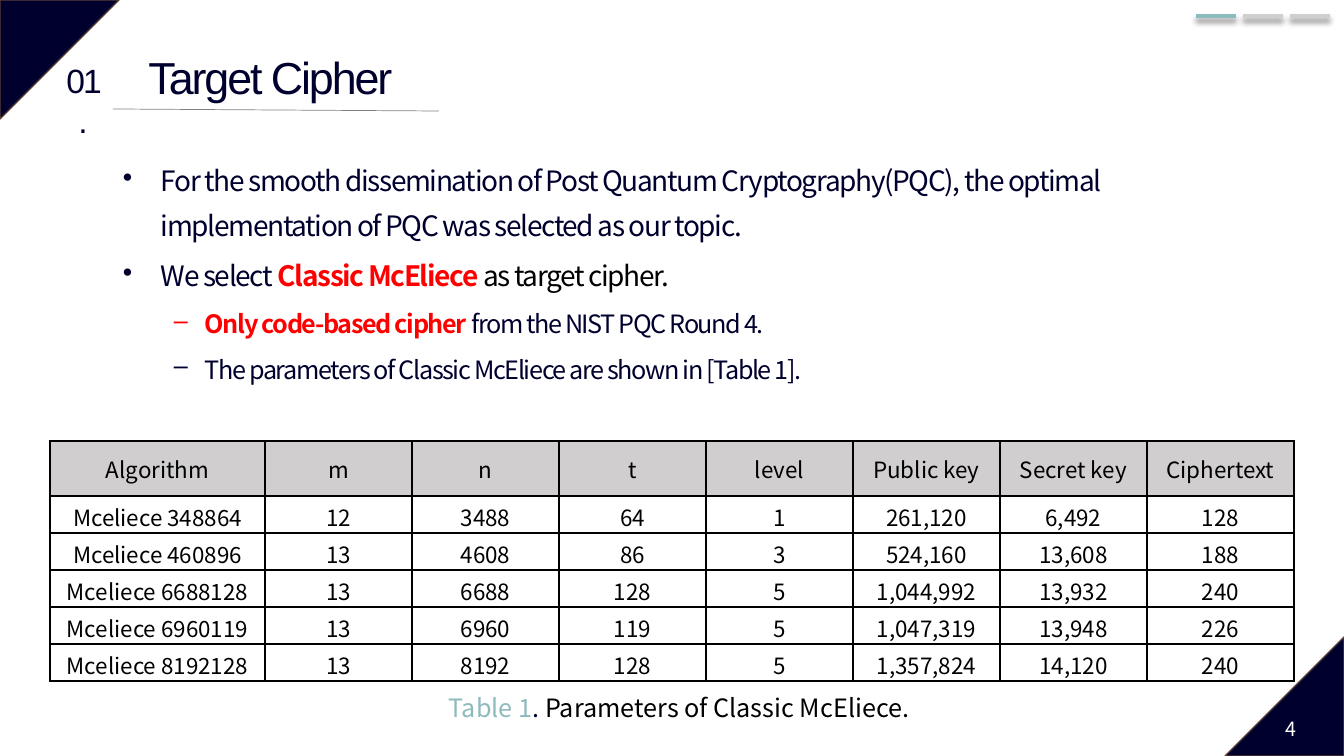
"""Build the Target Cipher slide with its parameter table."""
import lxml.etree
import pptx
import pptx.dml.color
import pptx.enum.shapes
import pptx.enum.text
import pptx.oxml
import pptx.oxml.ns
import pptx.util
from dataclasses import dataclass

TITLE = "Target Cipher"
SECTION = "01."
PAGE = "4"
POINTS = [
    (0, [("For the smooth dissemination of Post Quantum Cryptography(PQC), the optimal "
          "implementation of PQC was selected as our topic.", "navy", False)]),
    (0, [("We select ", "navy", False), ("Classic McEliece ", "red", True),
         ("as target cipher.", "black", False)]),
    (1, [("Only code-based cipher", "red", True),
         (" from the NIST PQC Round 4.", "navy", False)]),
    (1, [("The parameters of Classic McEliece are shown in [Table 1].", "navy", False)]),
]
PARAMETERS = [
    ("Algorithm", "m", "n", "t", "level", "Public key", "Secret key", "Ciphertext"),
    ("Mceliece 348864", "12", "3488", "64", "1", "261,120", "6,492", "128"),
    ("Mceliece 460896", "13", "4608", "86", "3", "524,160", "13,608", "188"),
    ("Mceliece 6688128", "13", "6688", "128", "5", "1,044,992", "13,932", "240"),
    ("Mceliece 6960119", "13", "6960", "119", "5", "1,047,319", "13,948", "226"),
    ("Mceliece 8192128", "13", "8192", "128", "5", "1,357,824", "14,120", "240"),
]
CAPTION = [("Table 1", "teal", False), (". ", "navy", False),
           ("Parameters of Classic McEliece.", "black", False)]
CORNERS = [(0, 0, 90), (1225, 637, 270)]
PROGRESS = ["teal", "grey", "grey"]
LEVELS = [("•", 38, -38), ("–", 82, -31)]


@dataclass(frozen=True)
class Theme:
    navy: str = "00002F"
    brown: str = "5B3F33"
    rule: str = "808080"
    teal: str = "8DBABD"
    grey: str = "D0CECE"
    red: str = "FF0000"
    black: str = "000000"
    white: str = "FFFFFF"
    heading: str = "Arial"
    body: str = "Noto Sans CJK KR"
    title_size: int = 32
    section_size: int = 24
    point_sizes: tuple = (20, 18)
    caption_size: int = 18
    table_size: int = 16
    page_size: int = 14


THEME = Theme()
EMU_PER_PX = 914400 / 100.8
CENTER = pptx.enum.text.PP_ALIGN.CENTER
SHADOW = ('<a:outerShdw blurRad="50800" dist="38100" dir="5400000" algn="t" rotWithShape="0">'
          '<a:srgbClr val="000000"><a:alpha val="40000"/></a:srgbClr></a:outerShdw>')


def px(length):
    return pptx.util.Emu(round(length * EMU_PER_PX))


def rgb(color):
    return pptx.dml.color.RGBColor.from_string(getattr(THEME, color))


def add_runs(paragraph, runs, size, font, spacing=0):
    for text, color, bold in runs:
        run = paragraph.add_run()
        run.text = text
        run.font.size = pptx.util.Pt(size)
        run.font.name = font
        run.font.bold = bold
        run.font.color.rgb = rgb(color)
        if spacing:
            run.font._element.set("spc", str(round(spacing * 100)))


def add_label(slide, box, runs, size, font, wrap=False, align=None, spacing=0):
    frame = slide.shapes.add_textbox(*map(px, box)).text_frame
    frame.word_wrap = wrap
    frame.auto_size = pptx.enum.text.MSO_AUTO_SIZE.SHAPE_TO_FIT_TEXT
    frame.paragraphs[0].alignment = align
    add_runs(frame.paragraphs[0], runs, size, font, spacing)


def add_rule(slide, ends, color, width, effect=""):
    rule = slide.shapes.add_connector(pptx.enum.shapes.MSO_CONNECTOR.STRAIGHT, *map(px, ends))
    rule.line.color.rgb = rgb(color)
    rule.line.width = pptx.util.Pt(width)
    rule._element.spPr.append(pptx.oxml.parse_xml(
        f'<a:effectLst {pptx.oxml.ns.nsdecls("a")}>{effect}</a:effectLst>'))


def add_corner(slide, left, top, angle):
    corner = slide.shapes.add_shape(
        pptx.enum.shapes.MSO_SHAPE.ISOSCELES_TRIANGLE, px(left), px(top), px(119), px(119))
    corner.adjustments[0] = 0
    corner.rotation = angle
    corner.shadow.inherit = False
    corner.fill.solid()
    corner.fill.fore_color.rgb = rgb("navy")
    corner.line.color.rgb = rgb("brown")
    corner.line.width = pptx.util.Pt(1)


def add_parameters(slide):
    heights = [55] + [37] * (len(PARAMETERS) - 1)
    widths = [215] + [147] * (len(PARAMETERS[0]) - 1)
    table = slide.shapes.add_table(len(heights), len(widths), px(50), px(441),
                                   px(sum(widths)), px(sum(heights))).table
    table.first_row = table.horz_banding = False
    for column, width in zip(table.columns, widths):
        column.width = px(width)
    for index, values in enumerate(PARAMETERS):
        table.rows[index].height = px(heights[index])
        for cell, value in zip(table.rows[index].cells, values):
            fill_cell(cell, value, index == 0)


def fill_cell(cell, value, heading):
    cell.vertical_anchor = pptx.enum.text.MSO_ANCHOR.MIDDLE
    cell.margin_top = px(5)
    cell.margin_bottom = px(5 if heading else 0)
    paragraph = cell.text_frame.paragraphs[0]
    paragraph.alignment = CENTER
    add_runs(paragraph, [(value, "black", False)], THEME.table_size, THEME.body)
    if heading:
        cell.fill.solid()
        cell.fill.fore_color.rgb = rgb("grey")
    else:
        cell.fill.background()
    properties = cell._tc.get_or_add_tcPr()
    for place, side in enumerate("LRTB"):
        properties.insert(place, pptx.oxml.parse_xml(
            f'<a:ln{side} {pptx.oxml.ns.nsdecls("a")} w="12700"><a:solidFill>'
            f'<a:srgbClr val="{THEME.black}"/></a:solidFill></a:ln{side}>'))


def add_points(slide):
    frame = slide.shapes.add_textbox(*map(px, (113, 148, 1112, 297))).text_frame
    frame.word_wrap = True
    for index, (level, runs) in enumerate(POINTS):
        paragraph = frame.add_paragraph() if index else frame.paragraphs[0]
        paragraph.level = level
        paragraph.line_spacing = 1.33
        paragraph.space_before = pptx.util.Pt(4)
        mark, margin, indent = LEVELS[level]
        properties = paragraph._p.get_or_add_pPr()
        properties.set("marL", str(px(margin)))
        properties.set("indent", str(px(indent)))
        bullet = lxml.etree.SubElement(properties, pptx.oxml.ns.qn("a:buChar"))
        bullet.set("char", mark)
        add_runs(paragraph, runs, THEME.point_sizes[level], THEME.body, -1)


def main():
    deck = pptx.Presentation()
    deck.slide_width, deck.slide_height = px(1344), px(756)
    slide = deck.slides.add_slide(deck.slide_layouts[6])
    for corner in CORNERS:
        add_corner(slide, *corner)
    add_rule(slide, (113, 109, 439, 111), "rule", 0.5)
    add_label(slide, (137, 45, 267, 65), [(TITLE, "navy", False)], THEME.title_size,
              THEME.heading, align=CENTER, spacing=-1.5)
    add_label(slide, (54, 55, 58, 50), [(SECTION, "navy", False)], THEME.section_size,
              THEME.heading, wrap=True, align=CENTER, spacing=-1.5)
    for step, color in enumerate(PROGRESS):
        left = 1196 + 47 * step
        add_rule(slide, (left, 16, left + 40, 16), color, 3.5, SHADOW)
    add_label(slide, (1276, 712, 51, 34), [(PAGE, "white", False)], THEME.page_size,
              THEME.body, wrap=True)
    add_parameters(slide)
    add_label(slide, (439, 687, 485, 40), CAPTION, THEME.caption_size, THEME.body)
    add_points(slide)
    deck.save("out.pptx")


if __name__ == "__main__":
    main()
